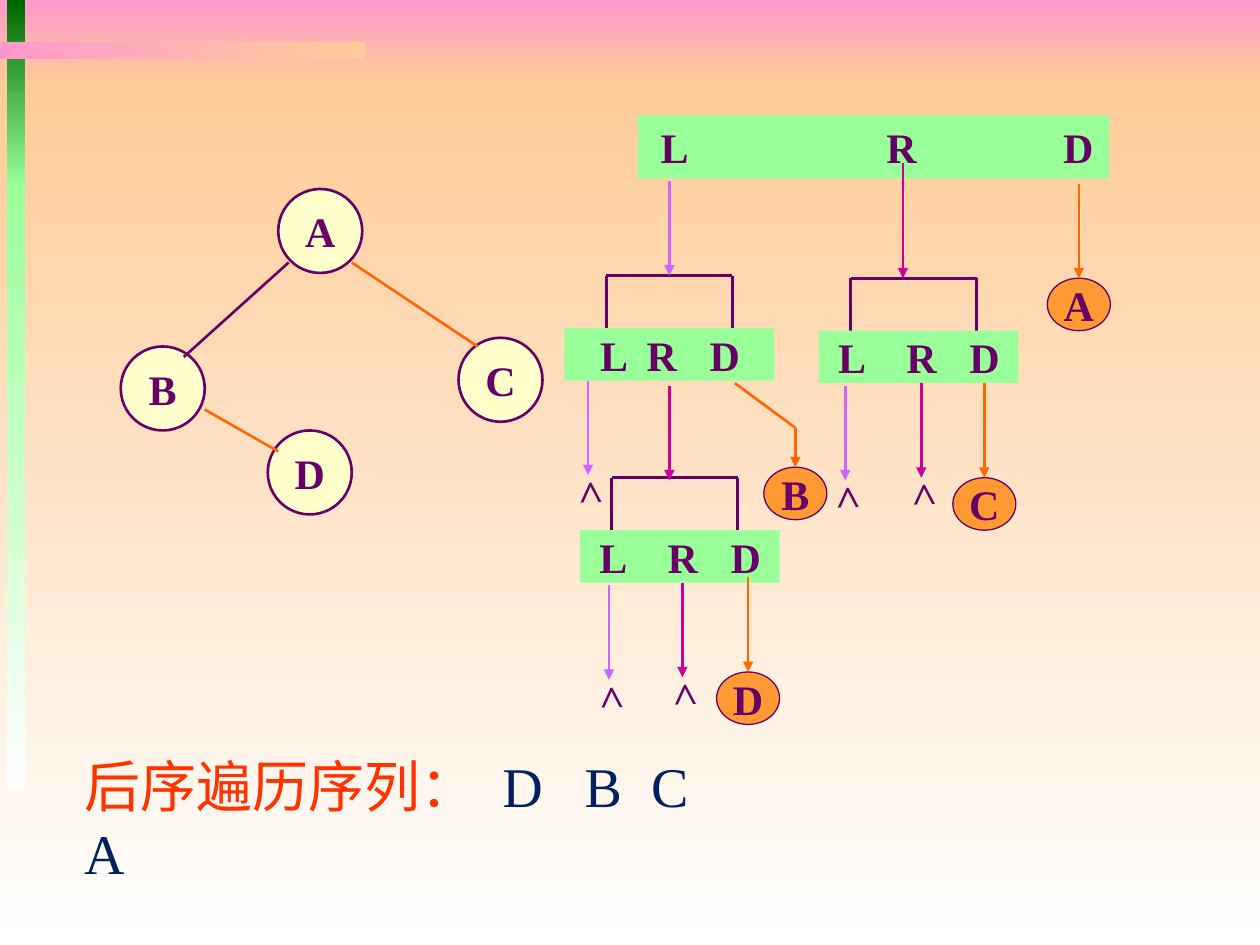
from lxml import etree
from pptx import Presentation
from pptx.dml.color import RGBColor
from pptx.enum import shapes, text
from pptx.oxml.ns import qn
from pptx.util import Pt

PURPLE, ORANGE, MAGENTA, LILAC = "660066", "FF6600", "CC0099", "CC66FF"
GREEN, PINK, PEACH = "99FF99", "FF99CC", "FFCC99"


def rgb(value):
    return RGBColor.from_string(value)


class Board:
    """Holds the style and the current slide; all lengths are points."""
    font, size, line_width = "Times New Roman", 24, 1.5
    arrow_length = 54

    def __init__(self, s):
        self.s = s

    def format(self, r, color=PURPLE, size=size, bold=True):
        r.font.name, r.font.size, r.font.bold = self.font, Pt(size), bold
        r.font.color.rgb = rgb(color)

    def tabs(self, p, stops):
        tab_list = etree.SubElement(p._p.get_or_add_pPr(), qn("a:tabLst"))
        for stop in stops:
            etree.SubElement(tab_list, qn("a:tab"), pos=str(Pt(stop)), algn="l")

    def shape(self, kind, x, y, w, h):
        sp = self.s.shapes.add_shape(kind, Pt(x), Pt(y), Pt(w), Pt(h))
        sp.shadow.inherit = False
        sp.line.fill.background()
        return sp

    def gradient(self, x, y, w, h, colors, angle=270):
        sp = self.shape(shapes.MSO_SHAPE.RECTANGLE, x, y, w, h)
        sp.fill.gradient()
        sp.fill.gradient_angle = angle
        for stop, color in zip(sp.fill.gradient_stops, colors):
            stop.color.rgb = rgb(color)

    def label(self, sp, words, align):
        tf = sp.text_frame
        tf.text, tf.word_wrap = words, False
        tf.vertical_anchor = text.MSO_ANCHOR.MIDDLE
        tf.margin_left = tf.margin_right = tf.margin_top = tf.margin_bottom = 0
        p = tf.paragraphs[0]
        p.alignment = align
        self.format(p.runs[0])
        return p

    def ellipse(self, letter, x, y, w, h, fill, width):
        sp = self.shape(shapes.MSO_SHAPE.OVAL, x, y, w, h)
        sp.fill.solid()
        sp.fill.fore_color.rgb = rgb(fill)
        sp.line.color.rgb, sp.line.width = rgb(PURPLE), Pt(width)
        self.label(sp, letter, text.PP_ALIGN.CENTER)
        return sp

    def bar(self, x, y, w, h, offsets):
        """Green L-R-D bar; offsets place the letters from its left edge."""
        sp = self.shape(shapes.MSO_SHAPE.RECTANGLE, x, y, w, h)
        sp.fill.solid()
        sp.fill.fore_color.rgb = rgb(GREEN)
        p = self.label(sp, "L\tR\tD", text.PP_ALIGN.LEFT)
        sp.text_frame.word_wrap = True
        sp.text_frame.margin_left = Pt(offsets[0])
        self.tabs(p, [o - offsets[0] for o in offsets[1:]])

    def line(self, x1, y1, x2, y2, color=PURPLE, arrow=False):
        c = self.s.shapes.add_connector(
            shapes.MSO_CONNECTOR.STRAIGHT, Pt(x1), Pt(y1), Pt(x2), Pt(y2))
        c.line.color.rgb, c.line.width = rgb(color), Pt(self.line_width)
        if arrow:
            etree.SubElement(c.line._get_or_add_ln(), qn("a:tailEnd"), type="triangle")
        etree.SubElement(c._element.spPr, qn("a:effectLst"))
        return c

    def arrow(self, x, y, color, length=arrow_length):
        return self.line(x, y, x, y + length, color, arrow=True)

    def bracket(self, x, y, w=72, h=30):
        self.line(x, y, x + w, y)
        for side in (x, x + w):
            self.line(side, y, side, y + h)

    def null(self, x, y, color):
        """Arrow to an empty subtree, marked by a turned angle sign."""
        sp = self.s.shapes.add_textbox(Pt(x - 15), Pt(y + 45), Pt(30), Pt(36))
        sp.rotation = 268.3
        tf = sp.text_frame
        tf.text, tf.word_wrap = ">", True
        self.format(tf.paragraphs[0].runs[0])
        self.arrow(x, y, color)

    def visit(self, letter, x, y, length=arrow_length):
        """Visited node with the arrow that reaches its top."""
        sp = self.ellipse(letter, x - 18, y, 36, 30, "FF9933", 0.75)
        self.arrow(x, y - length, ORANGE, length).end_connect(sp, 0)

    def sequence(self, x, y, w, h, title, letters, last, stops):
        tf = self.s.shapes.add_textbox(Pt(x), Pt(y), Pt(w), Pt(h)).text_frame
        tf.text, tf.word_wrap = title, True
        p = tf.paragraphs[0]
        self.tabs(p, stops)
        self.format(p.runs[0], "FF3300", 32, False)
        for part in (letters, last):
            if part == last:
                p.add_line_break()
            r = p.add_run()
            r.text = part
            self.format(r, "002060", 32, False)


def main():
    prs = Presentation()
    prs.slide_width, prs.slide_height = Pt(720), Pt(540)
    b = Board(prs.slides.add_slide(prs.slide_layouts[6]))

    # Background and decoration
    b.gradient(0, 0, 720, 48, (PINK, PEACH))
    b.gradient(0, 48, 720, 492, (PEACH, "FFFFFF"))
    b.gradient(4, 0, 10.5, 106.5, ("006600", GREEN))
    b.gradient(4, 105, 10.5, 346.5, (GREEN, "FFFFFF"))
    b.gradient(0, 24, 208.5, 10, (PINK, PEACH), angle=0)

    # Binary tree
    for letter, x, y in (("A", 159, 108), ("D", 153, 246),
                         ("B", 69, 198), ("C", 262, 193)):
        b.ellipse(letter, x, y, 48, 48, "FFFFCC", 1.5)
    b.line(165, 150, 105, 204)
    b.line(201, 150, 273, 198, ORANGE)
    b.line(117, 234, 159, 258, ORANGE)

    # Recursive calls: brackets and L-R-D bars
    for x, y in ((346.5, 157.5), (349.5, 273), (486, 159)):
        b.bracket(x, y)
    b.bar(364.5, 66, 269.5, 36, (13, 142, 243))
    b.bar(322.5, 187.5, 120, 30, (20.5, 47, 83))
    for x, y in ((331.5, 303), (468, 189)):
        b.bar(x, y, 114, 30, (11, 50, 86))

    # Arrows into non-empty subtrees
    b.arrow(382.5, 103.5, LILAC)
    b.arrow(382.5, 220.5, MAGENTA)
    b.arrow(516, 93, MAGENTA, 66)

    # Empty subtrees
    for x, y, color in ((336, 217.5, LILAC), (390, 333, MAGENTA), (348, 334.5, LILAC),
                        (526.5, 219, MAGENTA), (483, 220.5, LILAC)):
        b.null(x, y, color)

    # Visited nodes
    for letter, x, y in (("A", 616.5, 159), ("D", 427.5, 384), ("C", 562.5, 273)):
        b.visit(letter, x, y)
    b.line(420, 219, 454.5, 244.5, ORANGE)
    b.visit("B", 454.5, 267, 22.5)

    # Resulting sequence
    b.sequence(41, 426, 392, 45, "后序遍历序列：", "\tD\tB\tC", "A", (239, 286, 324))

    prs.save("out.pptx")


if __name__ == "__main__":
    main()
